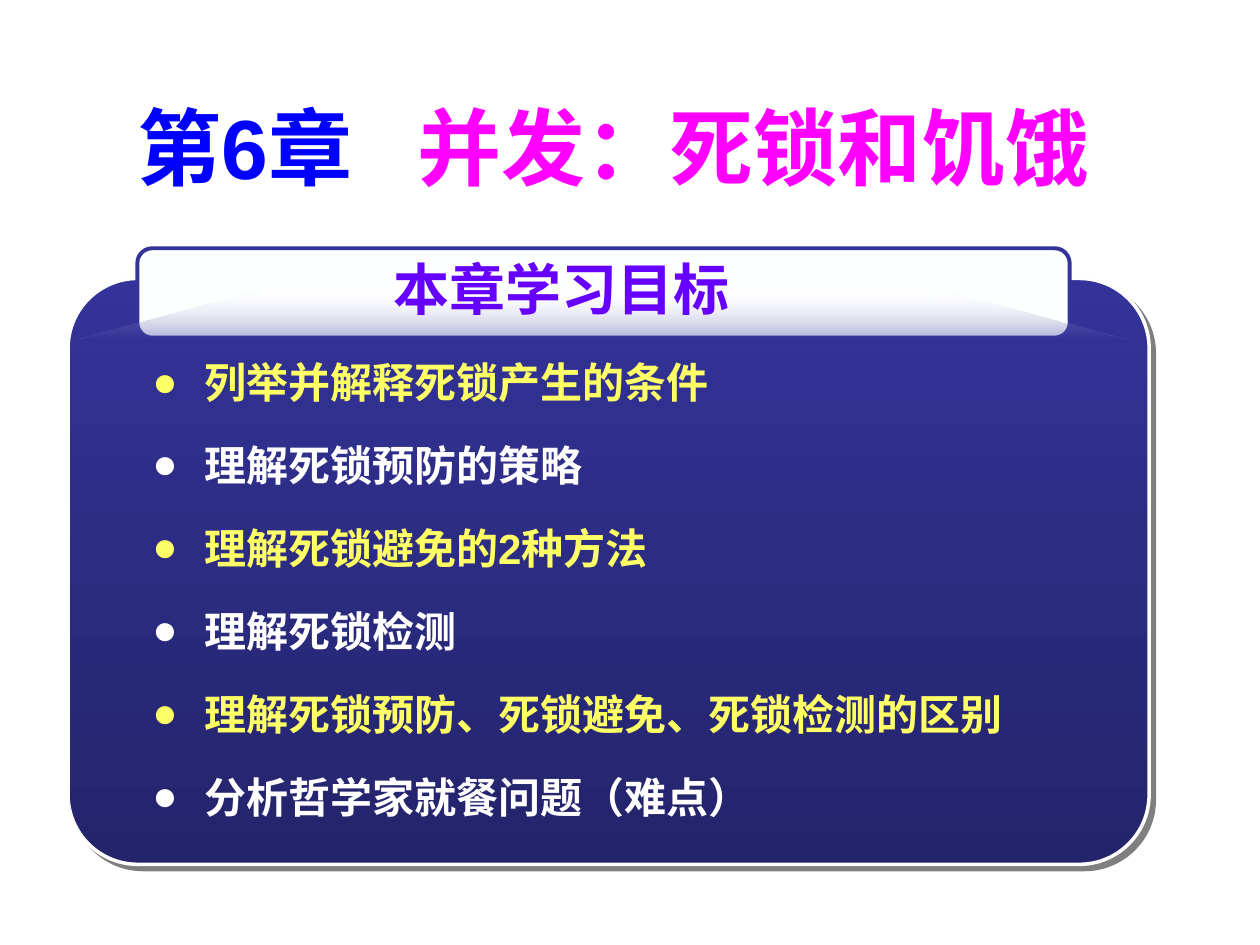
from lxml import etree
from pptx import Presentation
from pptx import util as u
from pptx.dml.color import RGBColor
from pptx.enum import shapes, text
from pptx.oxml import parse_xml
from pptx.oxml.ns import nsdecls, qn

SHADOW = (f'<a:effectLst {nsdecls("a")}><a:outerShdw blurRad="0" dist="{u.Pt(4.2)}" dir="2700000" '
          'algn="ctr" rotWithShape="0"><a:srgbClr val="000000"><a:alpha val="50000"/></a:srgbClr>'
          '</a:outerShdw></a:effectLst>')
GOALS = ["列举并解释死锁产生的条件", "理解死锁预防的策略", "理解死锁避免的2种方法",
         "理解死锁检测", "理解死锁预防、死锁避免、死锁检测的区别", "分析哲学家就餐问题（难点）"]


def rgb(value):
    return RGBColor.from_string(value)


class GoalSlide:
    font = "Arial"
    navy, white, yellow = "333399", "FFFFFF", "FFFF66"

    def __init__(self, prs):
        self.s = prs.slides.add_slide(prs.slide_layouts[1])

    def place(self, sp, box):
        for name, value in zip(("left", "top", "width", "height"), box):
            setattr(sp, name, u.Inches(value))

    def frame(self, sp, anchor, inset=0.05):
        tf = sp.text_frame
        fmt = dict(word_wrap=True, auto_size=text.MSO_AUTO_SIZE.NONE, vertical_anchor=anchor,
                   margin_top=u.Inches(inset), margin_bottom=u.Inches(inset))
        for name, value in fmt.items():
            setattr(tf, name, value)
        return tf

    def run(self, p, words, size, color):
        r = p.add_run()
        r.text = words
        for name, value in dict(name=self.font, size=u.Pt(size), bold=True).items():
            setattr(r.font, name, value)
        r.font.color.rgb = rgb(color)
        return r

    def gradient(self, sp, colors, alphas=(100, 100)):
        sp.fill.gradient()
        sp.fill.gradient_angle = 270
        for stop, color, alpha in zip(sp.fill.gradient_stops, colors, alphas):
            stop.color.rgb = rgb(color)
            if alpha < 100:
                clr = sp.fill._xPr.findall(".//" + qn("a:srgbClr"))[-1 if color == colors[1] else 0]
                etree.SubElement(clr, qn("a:alpha")).set("val", str(alpha * 1000))

    def round_box(self, group, box, adj, line, width):
        sp = group.shapes.add_shape(shapes.MSO_SHAPE.ROUNDED_RECTANGLE, *map(u.Inches, box))
        sp.adjustments[0] = adj
        sp.shadow.inherit = False
        sp.line.color.rgb = rgb(line)
        sp.line.width = u.Pt(width)
        return sp

    def panel(self):
        group = self.s.shapes.add_group_shape()
        # Body with a hard shadow
        body = self.round_box(group, (0.54, 2.21, 8.58, 4.65), 0.119, "FEFEFE", 2)
        self.gradient(body, (self.navy, "24246B"))
        props = body.element.spPr
        props.replace(props.find(qn("a:effectLst")), parse_xml(SHADOW))
        # Heading tab
        tab = self.round_box(group, (1.09, 1.97, 7.4, 0.71), 0.167, self.navy, 2.25)
        tab.fill.solid()
        tab.fill.fore_color.rgb = rgb("FEFFFF")
        # Shade across the foot of the tab
        points = [(u.Inches(x), u.Inches(y)) for x, y in
                  ((0.62, 2.69), (2.08, 2.29), (7.46, 2.29), (8.93, 2.69))]
        builder = group.shapes.build_freeform(*points[0])
        builder.add_line_segments(points[1:], close=True)
        shade = builder.convert_to_shape()
        shade.shadow.inherit = False
        shade.line.fill.background()
        self.gradient(shade, (self.white, self.navy), (0, 40))
        # The panel lies behind the placeholders
        self.s.shapes.element.insert(2, group.element)

    def title(self, box, chapter, topic):
        sp = self.s.shapes.title
        self.place(sp, box)
        p = self.frame(sp, text.MSO_ANCHOR.MIDDLE).paragraphs[0]
        p.alignment = text.PP_ALIGN.CENTER
        p.line_spacing = 0.4
        self.run(p, chapter, 48, "0000FF")
        gap = self.run(p, " ", 48, "0000FF")
        gap.font._element.set("spc", "2670")
        self.run(p, topic, 48, "FF00FF")

    def heading(self, box, words):
        sp = self.s.shapes.add_textbox(*map(u.Inches, box))
        p = self.frame(sp, text.MSO_ANCHOR.MIDDLE).paragraphs[0]
        p.alignment = text.PP_ALIGN.CENTER
        self.run(p, words, 32, "6600FF")

    def goals(self, box, items):
        sp = self.s.placeholders[1]
        self.place(sp, box)
        tf = self.frame(sp, text.MSO_ANCHOR.TOP, 0)
        for i, item in enumerate(items):
            p = tf.paragraphs[0] if i == 0 else tf.add_paragraph()
            fmt = dict(line_spacing=u.Pt(47.4), space_before=u.Pt(0), space_after=u.Pt(0))
            for name, value in fmt.items():
                setattr(p, name, value)
            pPr = p._p.get_or_add_pPr()
            pPr.set("marL", str(u.Inches(0.41)))
            pPr.set("indent", str(-u.Inches(0.41)))
            etree.SubElement(pPr, qn("a:buFont")).set("typeface", self.font)
            etree.SubElement(pPr, qn("a:buChar")).set("char", "●")
            self.run(p, item, 24, self.white if i % 2 else self.yellow)


def main():
    prs = Presentation()
    prs.slide_width, prs.slide_height = u.Inches(10), u.Inches(7.5)
    slide = GoalSlide(prs)
    slide.panel()
    slide.title((0.62, 0.13, 8.5, 2.4), "第6章", "并发：死锁和饥饿")
    slide.heading((1.91, 1.8, 5.1, 0.98), "本章学习目标")
    slide.goals((1.11, 2.57, 7.45, 4), GOALS)
    prs.save("out.pptx")


if __name__ == "__main__":
    main()
